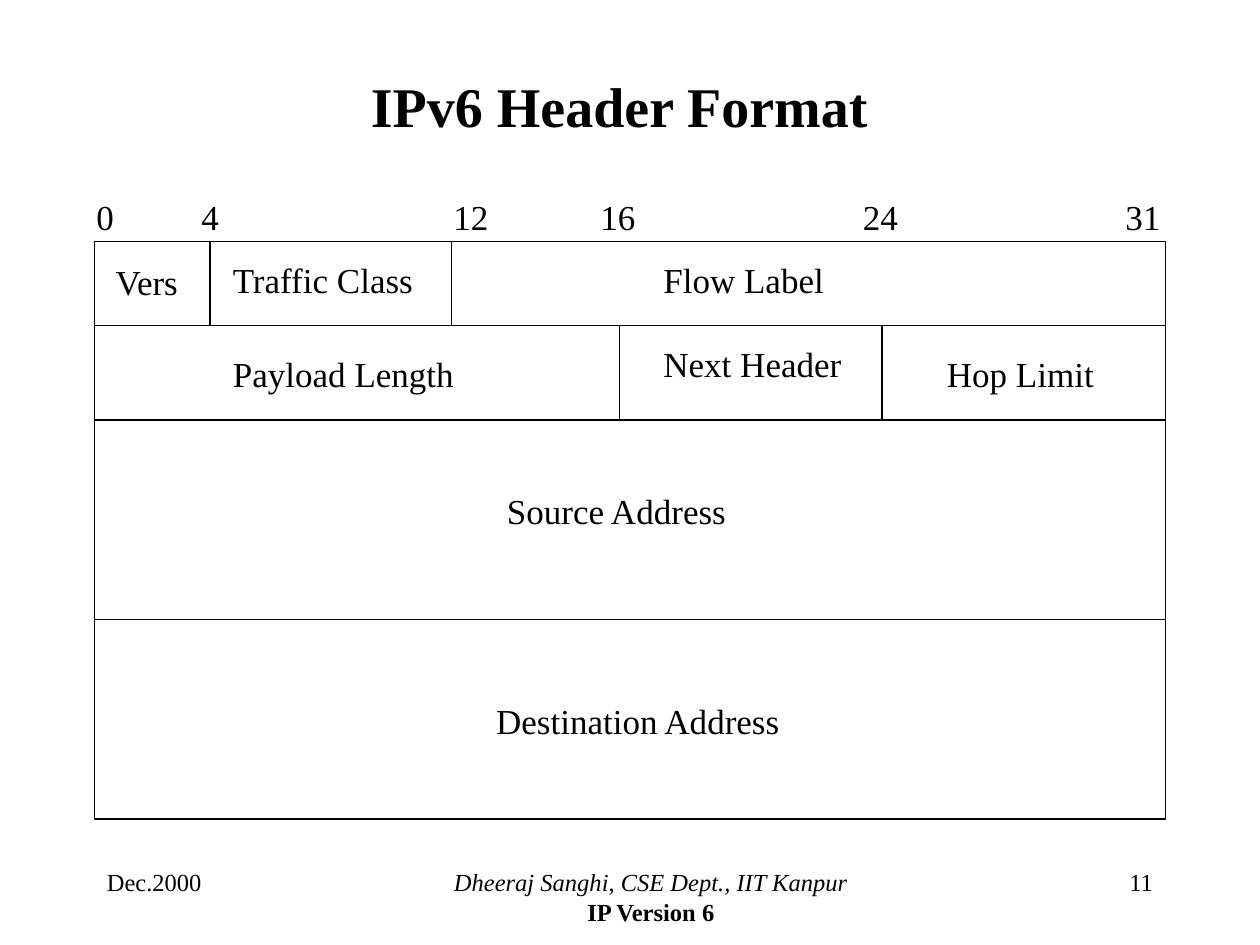
from pptx import Presentation
from pptx.dml.color import RGBColor
from pptx.enum.shapes import MSO_CONNECTOR as Connector, MSO_SHAPE as Shape
from pptx.enum.text import MSO_ANCHOR as Anchor, MSO_AUTO_SIZE as AutoSize, PP_ALIGN as Align
from pptx.oxml.ns import qn
from pptx.util import Pt
from lxml.etree import SubElement

COLORS = {"ink": "000000"}


class HeaderSlide:
    font = "Times New Roman"
    line_width = 0.75
    label_size = 20
    label_height = 31.5

    def __init__(self, slide):
        self.slide = slide
        self.ink = RGBColor.from_string(COLORS["ink"])

    def text(self, text, left, top, width, height, size, align=Align.LEFT,
             anchor=Anchor.TOP, bold=False, wrap=True):
        shape = self.slide.shapes.add_textbox(Pt(left), Pt(top), Pt(width), Pt(height))
        frame = shape.text_frame
        frame.text = text
        frame.word_wrap = wrap
        frame.auto_size = AutoSize.NONE if wrap else AutoSize.SHAPE_TO_FIT_TEXT
        frame.vertical_anchor = anchor
        for paragraph in frame.paragraphs:
            paragraph.alignment = align
            for run in paragraph.runs:
                run.font.name = self.font
                run.font.size = Pt(size)
                run.font.bold = bold
                run.font.color.rgb = self.ink
        return frame

    def label(self, text, left, top, width, align=Align.LEFT):
        self.text(text, left, top, width, self.label_height, self.label_size, align, wrap=False)

    def outline(self, left, top, right, bottom):
        shape = self.slide.shapes.add_shape(
            Shape.RECTANGLE, Pt(left), Pt(top), Pt(right - left), Pt(bottom - top))
        shape.shadow.inherit = False
        shape.fill.background()
        self.stroke(shape)

    def rule(self, x1, y1, x2, y2):
        connector = self.slide.shapes.add_connector(
            Connector.STRAIGHT, Pt(x1), Pt(y1), Pt(x2), Pt(y2))
        self.stroke(connector)
        SubElement(connector._element.spPr, qn("a:effectLst"))

    def stroke(self, shape):
        shape.line.color.rgb = self.ink
        shape.line.width = Pt(self.line_width)


def main():
    presentation = Presentation()
    presentation.slide_width, presentation.slide_height = Pt(720), Pt(540)
    page = HeaderSlide(presentation.slides.add_slide(presentation.slide_layouts[6]))

    footer_top, footer_height, footer_size = 492, 36, 14
    page.text("Dec.2000", 54, footer_top, 150, footer_height, footer_size)
    footer = page.text("Dheeraj Sanghi, CSE Dept., IIT Kanpur\nIP Version 6",
                       246, footer_top, 252, footer_height, footer_size, Align.CENTER)
    author, topic = footer.paragraphs
    author.runs[0].font.italic = True
    topic.runs[0].font.bold = True
    page.text("11", 516, footer_top, 150, footer_height, footer_size, Align.RIGHT)

    page.text("IPv6 Header Format", 48, 30, 612, 60, 32, Align.CENTER, Anchor.MIDDLE, bold=True)

    left, right = 54, 666
    row_edges = [138, 186, 240, 354, 468]
    column_edges = [[120, 258], [354, 504]]
    page.outline(left, row_edges[0], right, row_edges[-1])
    for y in row_edges[1:-1]:
        page.rule(left, y, right, y)
    for top, bottom, edges in zip(row_edges, row_edges[1:], column_edges):
        for x in edges:
            page.rule(x, top, x, bottom)

    fields = [
        ("Vers", 59, 145.5, 52),
        ("Traffic Class", 126, 144, 119),
        ("Flow Label", 372, 144, 108),
        ("Payload Length", 126, 198, 142),
        ("Next Header", 372, 192, 118),
        ("Hop Limit", 534, 198, 100),
    ]
    for name, x, y, width in fields:
        page.label(name, x, y, width)
    page.label("Source Address", 282, 276, 140.5, Align.CENTER)
    page.label("Destination Address", 276, 396, 177, Align.CENTER)

    bit_lefts = {0: 48, 4: 108, 12: 252, 16: 336, 24: 486, 31: 636}
    for bit, x in bit_lefts.items():
        page.label(str(bit), x, 108, 25 if bit < 10 else 35)

    presentation.save("out.pptx")


if __name__ == "__main__":
    main()
